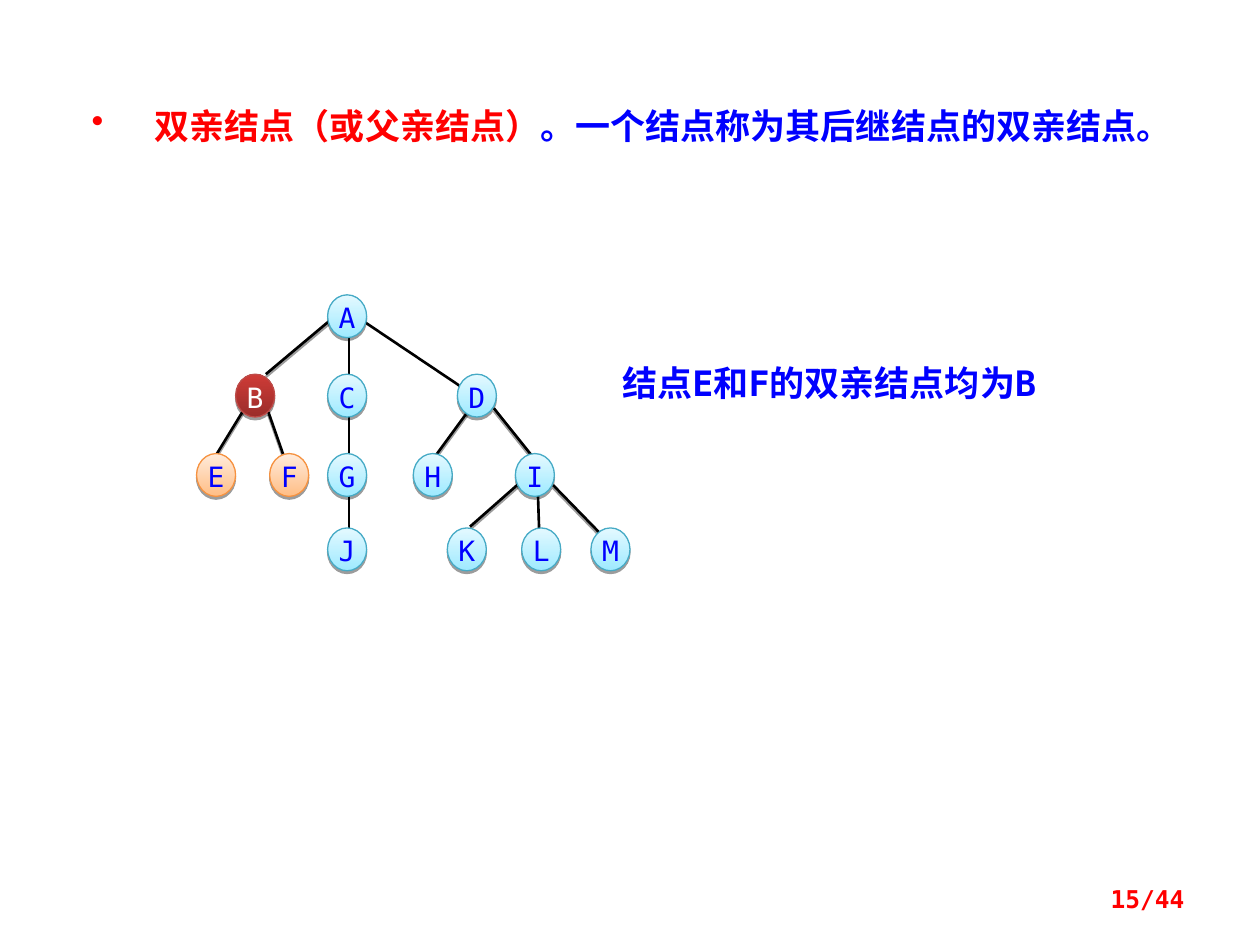
from lxml import etree
from pptx import Presentation
from pptx import util as u
from pptx.dml.color import RGBColor
from pptx.enum import shapes, text
from pptx.oxml import ns

W, H = 10, 7.5
LATIN, CJK = "DejaVu Sans Mono", "Noto Sans CJK SC"
COLORS = {"blue": "0000FF", "red": "FF0000", "white": "FFFFFF", "black": "000000"}
# Node styles: gradient bottom, gradient top, outline, letter
STYLES = {
    "plain": ("9EEAFF", "E4F9FF", "46AAC5", COLORS["blue"]),
    "parent": ("9B2D2A", "CE3B37", "BE4B48", COLORS["white"]),
    "child": ("FFBE86", "FFEBDB", "F69240", COLORS["blue"]),
}
NODE_W, NODE_H = 0.31, 0.34
LEVELS = (2.34, 2.97, 3.6, 4.19)
# Left edge of every node, level by level
TREE = (
    {"A": 2.6},
    {"B": 1.87, "C": 2.6, "D": 3.63},
    {"E": 1.56, "F": 2.14, "G": 2.6, "H": 3.28, "I": 4.09},
    {"J": 2.6, "K": 3.55, "L": 4.14, "M": 4.69},
)
ROLES = {"B": "parent", "E": "child", "F": "child"}
# Branches that lean cast a shadow
SHADED_EDGES = (
    (2.61, 2.55, 2.11, 2.97),  # A-B
    (1.93, 3.26, 1.71, 3.62),  # B-E
    (2.13, 3.27, 2.27, 3.67),  # B-F
    (3.74, 3.23, 3.44, 3.64),  # D-H
    (3.92, 3.24, 4.24, 3.64),  # D-I
    (4.15, 3.81, 3.73, 4.18),  # I-K
    (4.39, 3.85, 4.76, 4.23),  # I-M
)
PLAIN_EDGES = (
    (2.77, 2.66, 2.77, 4.24),  # A-C-G-J
    (4.27, 3.93, 4.28, 4.24),  # I-L
    (2.9, 2.56, 3.66, 3.07),   # A-D
)


def rgb(value):
    return RGBColor.from_string(value)


def add_effects(sp, shadow=True):
    """Append an effect list, empty or with a soft drop shadow."""
    effects = etree.SubElement(sp._element.spPr, ns.qn("a:effectLst"))
    if shadow:
        outer = etree.SubElement(effects, ns.qn("a:outerShdw"), blurRad="0",
                                 dist="20320", dir="5400000", rotWithShape="0")
        color = etree.SubElement(outer, ns.qn("a:srgbClr"), val=COLORS["black"])
        etree.SubElement(color, ns.qn("a:alpha"), val="38000")


def add_bullet(p, color, indent):
    pPr = p._p.get_or_add_pPr()
    pPr.set("marL", str(u.Inches(indent)))
    pPr.set("indent", str(-u.Inches(indent)))
    bu = etree.SubElement(pPr, ns.qn("a:buClr"))
    etree.SubElement(bu, ns.qn("a:srgbClr"), val=color)
    etree.SubElement(pPr, ns.qn("a:buChar"), char="•")


def add_run(p, content, size=20, color=COLORS["blue"], bold=True, font=LATIN):
    r = p.add_run()
    r.text = content
    r.font.size, r.font.bold, r.font.name = u.Pt(size), bold, font
    r.font.color.rgb = rgb(color)
    etree.SubElement(r._r.get_or_add_rPr(), ns.qn("a:ea"), typeface=CJK)


def add_text(s, x, y, w, h, anchor=text.MSO_ANCHOR.TOP, grow=True,
             align=text.PP_ALIGN.LEFT, spacing=None):
    """Place a text box by shares of the slide and return its paragraph."""
    tf = s.shapes.add_textbox(u.Inches(x * W), u.Inches(y * H),
                              u.Inches(w * W), u.Inches(h * H)).text_frame
    tf.word_wrap = True
    tf.vertical_anchor = anchor
    if grow:
        tf.auto_size = text.MSO_AUTO_SIZE.SHAPE_TO_FIT_TEXT
    p = tf.paragraphs[0]
    p.alignment = align
    p.line_spacing = spacing
    return p


def add_edge(s, ends, shadow):
    line = s.shapes.add_connector(shapes.MSO_CONNECTOR.STRAIGHT,
                                  *(u.Inches(v) for v in ends))
    line.line.color.rgb = rgb(COLORS["black"])
    line.line.width = u.Pt(1.5)
    add_effects(line, shadow)


def add_node(s, letter, x, y):
    bottom, top, outline, ink = STYLES[ROLES.get(letter, "plain")]
    sp = s.shapes.add_shape(shapes.MSO_SHAPE.OVAL, u.Inches(x), u.Inches(y),
                            u.Inches(NODE_W), u.Inches(NODE_H))
    sp.fill.gradient()
    sp.fill.gradient_angle = 90
    for stop, color in zip(sp.fill.gradient_stops, (bottom, top)):
        stop.color.rgb = rgb(color)
    sp.line.color.rgb = rgb(outline)
    sp.line.width = u.Pt(0.75)
    add_effects(sp)
    tf = sp.text_frame
    tf.margin_left = tf.margin_right = tf.margin_top = tf.margin_bottom = 0
    tf.vertical_anchor = text.MSO_ANCHOR.TOP
    p = tf.paragraphs[0]
    p.alignment = text.PP_ALIGN.CENTER
    p.line_spacing = u.Pt(19)
    add_run(p, letter, size=16, color=ink, bold=False)


def add_tree(s):
    for edges, shadow in ((SHADED_EDGES, True), (PLAIN_EDGES, False)):
        for ends in edges:
            add_edge(s, ends, shadow)
    for y, level in zip(LEVELS, TREE):
        for letter, x in level.items():
            add_node(s, letter, x, y)


def main():
    prs = Presentation()
    prs.slide_width, prs.slide_height = u.Inches(W), u.Inches(H)
    s = prs.slides.add_slide(prs.slide_layouts[6])

    p = add_text(s, 0.063, 0.104, 0.867, 0.059)
    add_bullet(p, COLORS["red"], 0.5)
    add_run(p, "双亲结点（或父亲结点", color=COLORS["red"], font=CJK)
    add_run(p, "）", color=COLORS["red"])
    add_run(p, "。一个结点称为其后继结点的双亲结点。")

    p = add_text(s, 0.484, 0.385, 0.352, 0.085, spacing=0.8)
    add_run(p, "结点E和F的双亲结点均为B")

    add_tree(s)

    p = add_text(s, 0.717, 0.927, 0.233, 0.053, anchor=text.MSO_ANCHOR.MIDDLE,
                 grow=False, align=text.PP_ALIGN.RIGHT, spacing=0.8)
    add_run(p, "15/44", size=14, color=COLORS["red"])
    prs.save("out.pptx")


if __name__ == "__main__":
    main()
